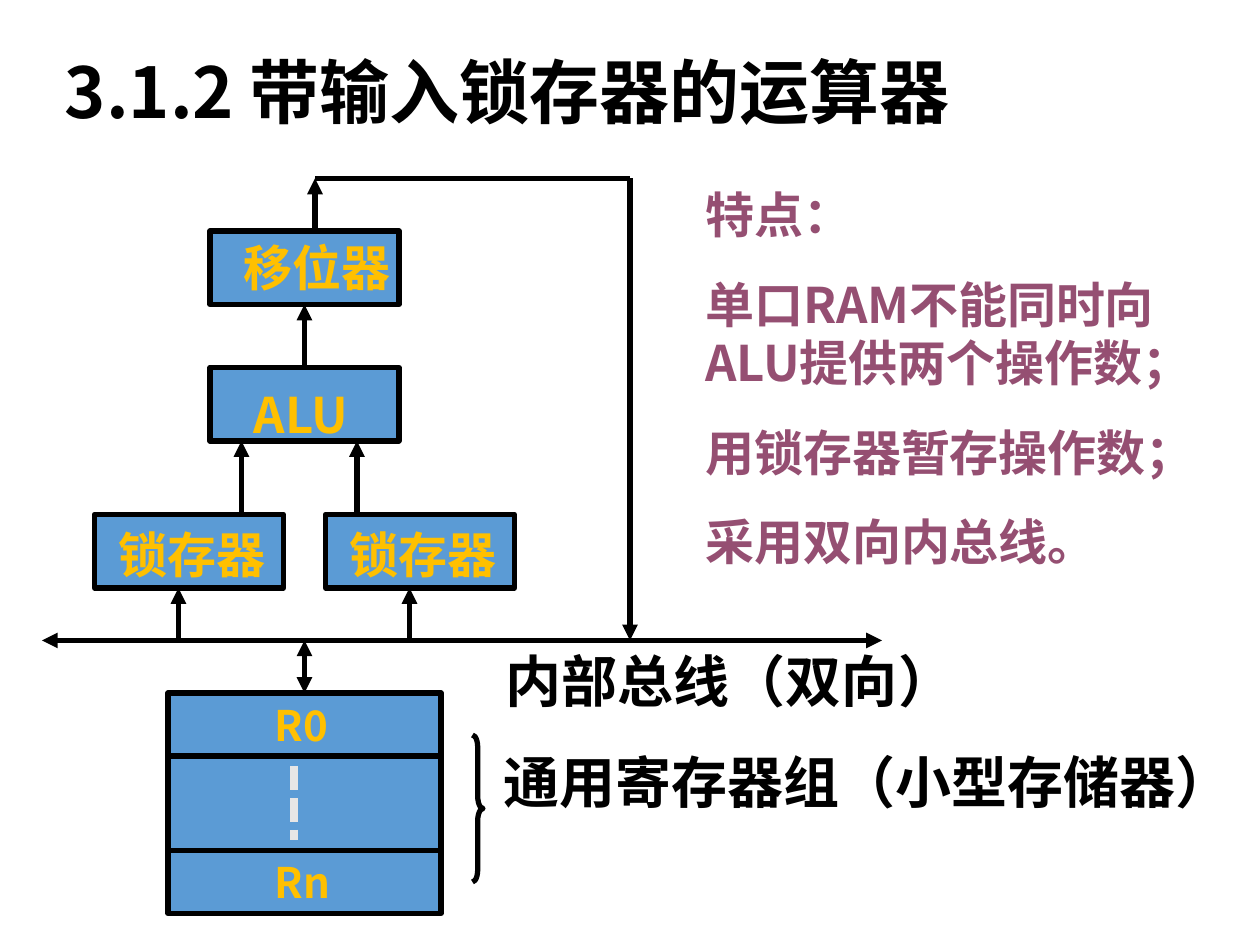
from typing import NamedTuple

from pptx import Presentation
from pptx.dml.color import RGBColor
from pptx.enum.dml import MSO_LINE
from pptx.enum.shapes import MSO_CONNECTOR, MSO_SHAPE
from pptx.oxml.ns import qn
from pptx.util import Emu, Pt
from lxml.etree import SubElement

EMU_PER_PX = 7620  # 120 px to the inch
FONT = "Noto Sans CJK SC"
BLACK, BLUE, GOLD, PURPLE, GREY = "000000", "5B9BD5", "FFC000", "954F72", "E7E6E6"
BUS_Y = 610


class Box(NamedTuple):
    left: int
    top: int
    width: int
    height: int


class Label(NamedTuple):
    box: Box
    lines: list[str]
    size: int
    color: str
    space_before: float = 0


class Wire(NamedTuple):
    start: tuple[int, int]
    end: tuple[int, int]
    start_arrow: bool = False
    end_arrow: bool = False
    color: str = BLACK
    width: float = 3
    dotted: bool = False


def px(value: int) -> Emu:
    return Emu(value * EMU_PER_PX)


def rgb(color: str) -> RGBColor:
    return RGBColor.from_string(color)


def draw_block(slide, box: Box) -> None:
    shape = slide.shapes.add_shape(MSO_SHAPE.RECTANGLE, *map(px, box))
    shape.shadow.inherit = False
    shape.fill.solid()
    shape.fill.fore_color.rgb = rgb(BLUE)
    shape.line.color.rgb = rgb(BLACK)
    shape.line.width = Pt(3)


def draw_brace(slide, box: Box) -> None:
    shape = slide.shapes.add_shape(MSO_SHAPE.RIGHT_BRACE, *map(px, box))
    shape.shadow.inherit = False
    shape.adjustments[0] = 1.17
    shape.fill.background()
    shape.line.color.rgb = rgb(BLACK)
    shape.line.width = Pt(3)


def draw_wire(slide, wire: Wire) -> None:
    connector = slide.shapes.add_connector(
        MSO_CONNECTOR.STRAIGHT, *map(px, wire.start + wire.end)
    )
    line = connector.line
    line.color.rgb = rgb(wire.color)
    line.width = Pt(wire.width)
    if wire.dotted:
        line.dash_style = MSO_LINE.SQUARE_DOT
    properties = connector._element.spPr
    outline = properties.find(qn("a:ln"))
    for present, tag in ((wire.start_arrow, "a:headEnd"), (wire.end_arrow, "a:tailEnd")):
        if present:
            SubElement(outline, qn(tag), type="triangle")
    SubElement(properties, qn("a:effectLst"))


def draw_label(slide, label: Label) -> None:
    text_frame = slide.shapes.add_textbox(*map(px, label.box)).text_frame
    text_frame.word_wrap = True
    text_frame.text = "\n".join(label.lines)
    for index, paragraph in enumerate(text_frame.paragraphs):
        if index:
            paragraph.space_before = Pt(label.space_before)
        for run in paragraph.runs:
            run.font.size = Pt(label.size)
            run.font.bold = True
            run.font.color.rgb = rgb(label.color)
            run.font.name = FONT
            SubElement(run.font._element, qn("a:ea"), typeface=FONT)


FEATURES = [
    "特点：",
    "单口RAM不能同时向ALU提供两个操作数；",
    "用锁存器暂存操作数；",
    "采用双向内总线。",
]
LATCH_LEFTS = (90, 310)

BLOCKS = [
    Box(200, 220, 180, 70),
    Box(200, 350, 180, 70),
    *(Box(left, 490, 180, 70) for left in LATCH_LEFTS),
    Box(160, 660, 260, 210),
]

WIRES = [
    Wire((40, BUS_Y), (840, BUS_Y), start_arrow=True, end_arrow=True),
    # Feedback from the shifter to the bus
    Wire((300, 220), (300, 170), end_arrow=True),
    Wire((300, 170), (600, 170)),
    Wire((600, 170), (600, BUS_Y), end_arrow=True),
    # ALU to shifter, latches to ALU, bus to latches
    Wire((290, 350), (290, 290), end_arrow=True),
    *(Wire((x, 490), (x, 420), end_arrow=True) for x in (230, 340)),
    *(Wire((left + 80, BUS_Y), (left + 80, 560), end_arrow=True) for left in LATCH_LEFTS),
    # Registers and bus
    Wire((290, 660), (290, BUS_Y), start_arrow=True, end_arrow=True),
    *(Wire((160, y), (420, y)) for y in (720, 810)),
    Wire((280, 730), (280, 800), color=GREY, width=4.5, dotted=True),
]

LABELS = [
    Label(Box(50, 40, 930, 173), ["3.1.2 带输入锁存器的运算器"], 40, BLACK),
    Label(Box(660, 170, 516, 380), FEATURES, 28, PURPLE, 17.5),
    Label(Box(220, 220, 200, 68), ["移位器"], 28, GOLD),
    Label(Box(230, 360, 200, 68), ["ALU"], 28, GOLD),
    *(Label(Box(left + 11, 494, 270, 68), ["锁存器"], 28, GOLD) for left in LATCH_LEFTS),
    Label(Box(470, BUS_Y, 460, 77), ["内部总线（双向）"], 32, BLACK),
    Label(Box(468, 706, 732, 77), ["通用寄存器组（小型存储器）"], 32, BLACK),
    Label(Box(250, 660, 110, 60), ["R0"], 24, GOLD),
    Label(Box(250, 810, 110, 60), ["Rn"], 24, GOLD),
]


def main() -> None:
    presentation = Presentation()
    presentation.slide_width, presentation.slide_height = px(1200), px(900)
    slide = presentation.slides.add_slide(presentation.slide_layouts[6])
    for block in BLOCKS:
        draw_block(slide, block)
    for wire in WIRES:
        draw_wire(slide, wire)
    draw_brace(slide, Box(450, 700, 10, 140))
    for label in LABELS:
        draw_label(slide, label)
    presentation.save("out.pptx")


if __name__ == "__main__":
    main()
